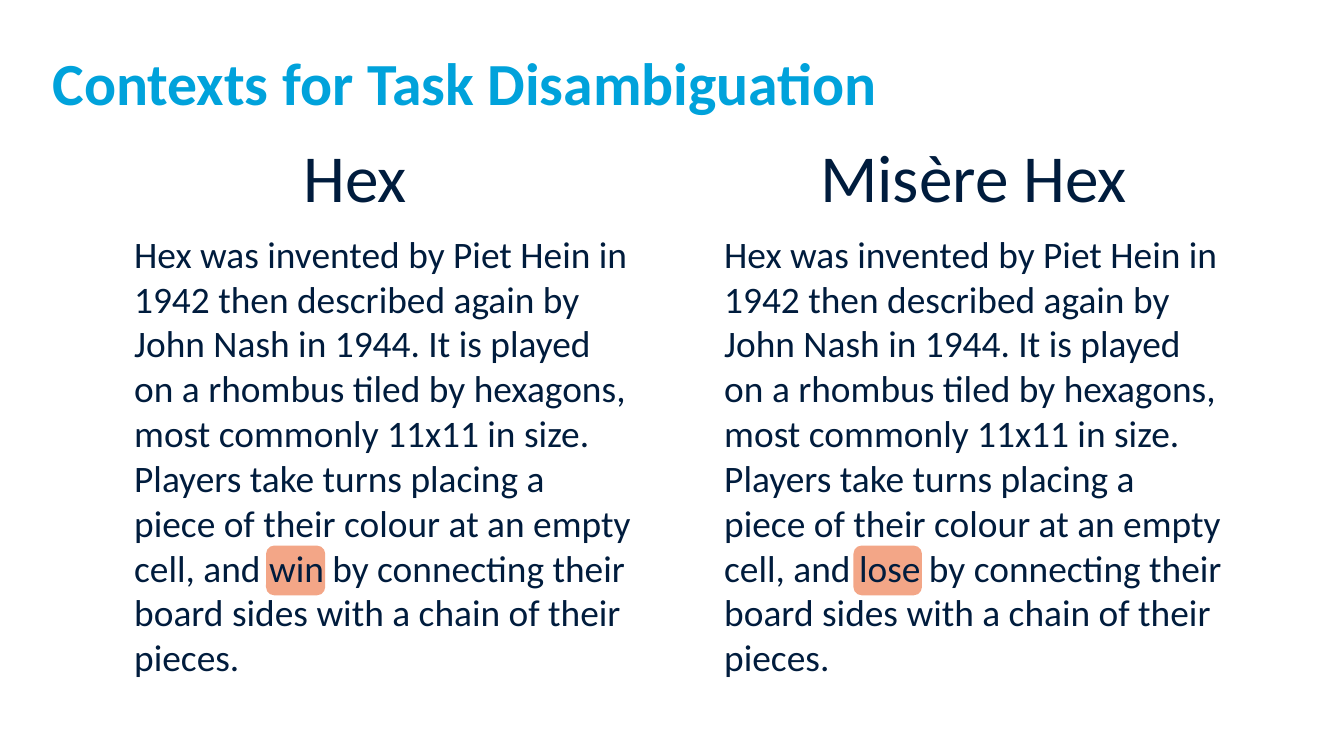
from lxml import etree
from pptx import Presentation
from pptx.dml.color import RGBColor
from pptx.enum.shapes import MSO_SHAPE
from pptx.enum.text import MSO_ANCHOR, MSO_AUTO_SIZE, PP_ALIGN
from pptx.oxml.ns import qn
from pptx.util import Inches, Pt

ROUNDED = MSO_SHAPE.ROUNDED_RECTANGLE
TOP = MSO_ANCHOR.TOP
FIXED, GROW = MSO_AUTO_SIZE.NONE, MSO_AUTO_SIZE.SHAPE_TO_FIT_TEXT
LEFT, CENTER = PP_ALIGN.LEFT, PP_ALIGN.CENTER

FONT = "Calibri"
COLORS = {"title": "00A2DB", "text": "001C3D", "highlight": "E84E10"}
TITLE_ONLY = 5
COLUMN_TOP, COLUMN_WIDTH = 0.96, 3.91
HEADING_HEIGHT, BODY_HEIGHT = 0.71, 3.47
RULES = (
    "Hex was invented by Piet Hein in 1942 then described again by John Nash "
    "in 1944. It is played on a rhombus tiled by hexagons, most commonly 11x11 "
    "in size. Players take turns placing a piece of their colour at an empty "
    "cell, and {} by connecting their board sides with a chain of their pieces."
)
# Heading and mark are (offset from the column's left, width).
COLUMNS = [
    {"left": 0.9, "name": "Hex", "outcome": "win",
     "heading": (1.25, 0.98), "mark": (1.08, 0.44)},
    {"left": 5.29, "name": "Misère Hex", "outcome": "lose",
     "heading": (0.7, 2.51), "mark": (1.06, 0.51)},
]


def style_paragraph(para, size, color, align=LEFT, bold=False):
    para.alignment = align
    para.font.name = FONT
    para.font.size = Pt(size)
    para.font.bold = bold
    para.font.color.rgb = RGBColor.from_string(COLORS[color])


def add_title(page, text, left, top, width, height):
    title = page.shapes.title
    title.left, title.top = Inches(left), Inches(top)
    title.width, title.height = Inches(width), Inches(height)
    frame = title.text_frame
    frame.text = text
    frame.auto_size = FIXED
    frame.vertical_anchor = TOP
    frame.margin_left = frame.margin_right = 0
    frame.margin_top = frame.margin_bottom = 0
    style_paragraph(frame.paragraphs[0], 32, "title", bold=True)


def add_text(page, text, left, top, width, height, size, align=LEFT, wrap=True):
    box = page.shapes.add_textbox(
        Inches(left), Inches(top), Inches(width), Inches(height))
    frame = box.text_frame
    frame.text = text
    frame.word_wrap = wrap
    frame.auto_size = GROW
    style_paragraph(frame.paragraphs[0], size, "text", align)


def add_highlight(page, left, top, width, height):
    """Add a half-transparent marker to sit behind a word."""
    mark = page.shapes.add_shape(
        ROUNDED, Inches(left), Inches(top), Inches(width), Inches(height))
    mark.shadow.inherit = False
    mark.line.fill.background()
    mark.fill.solid()
    mark.fill.fore_color.rgb = RGBColor.from_string(COLORS["highlight"])
    color = mark.element.spPr.find(".//" + qn("a:srgbClr"))
    etree.SubElement(color, qn("a:alpha"), val="50000")


def add_column(page, column, left, top, width):
    body_top = top + HEADING_HEIGHT
    mark_offset, mark_width = column["mark"]
    add_highlight(page, left + mark_offset, top + 3.1, mark_width, 0.37)
    offset, heading_width = column["heading"]
    add_text(page, column["name"], left + offset, top, heading_width,
             HEADING_HEIGHT, 36, CENTER, wrap=False)
    add_text(page, RULES.format(column["outcome"]), left, body_top, width,
             BODY_HEIGHT, 20)


def main():
    deck = Presentation()
    deck.slide_width = Inches(10)
    deck.slide_height = deck.slide_width * 9 // 16
    page = deck.slides.add_slide(deck.slide_layouts[TITLE_ONLY])
    add_title(page, "Contexts for Task Disambiguation", 0.39, 0.34, 9.11, 0.62)
    for column in COLUMNS:
        add_column(page, column, column["left"], COLUMN_TOP, COLUMN_WIDTH)
    deck.save("out.pptx")


if __name__ == "__main__":
    main()
